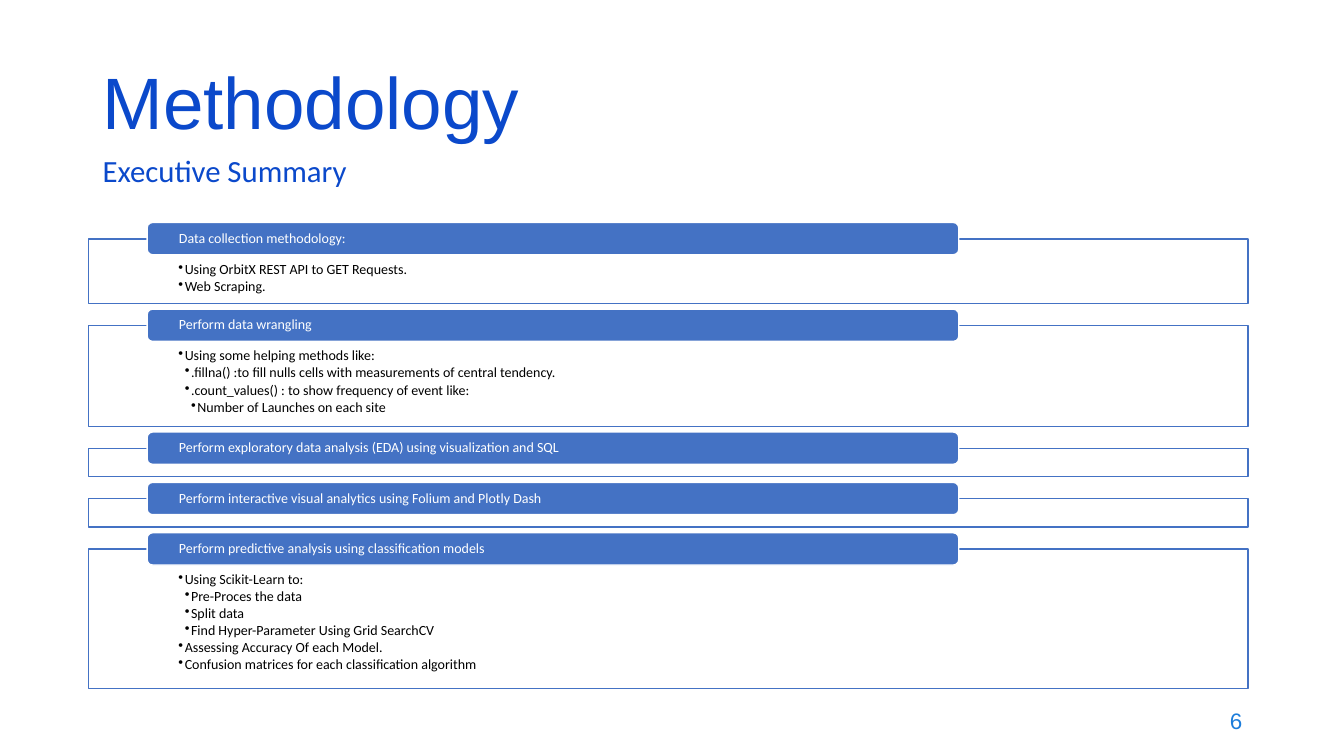
from lxml.etree import SubElement
from pptx import Presentation
from pptx.dml.color import RGBColor
from pptx.enum.shapes import MSO_SHAPE
from pptx.enum.text import MSO_ANCHOR, PP_ALIGN
from pptx.oxml.ns import qn
from pptx.util import Inches, Pt

NAVY, BLUE, SKY, WHITE, BLACK = "0B49CB", "4472C4", "1C7DDB", "FFFFFF", "000000"
FRAME_LEFT, FRAME_WIDTH = 6.6, 86.27
HEADING_LEFT, HEADING_WIDTH, HEADING_HEIGHT = 10.95, 60.39, 4.27
HEADING_RISE, FIRST_TOP, GAP = 2.17, 31.6, 2.93
INDENT = Inches(0.0625)

# Heading, frame height in percent of the slide, bullets as (level, text)
SECTIONS = [
    ("Data collection methodology:", 8.53, [
        (1, "Using OrbitX REST API to GET Requests."),
        (1, "Web Scraping."),
    ]),
    ("Perform data wrangling", 13.33, [
        (1, "Using some helping methods like:"),
        (2, ".fillna() :to fill nulls cells with measurements of central tendency."),
        (2, ".count_values() : to show frequency of event like:"),
        (3, "Number of Launches on each site"),
    ]),
    ("Perform exploratory data analysis (EDA) using visualization and SQL", 3.73, []),
    ("Perform interactive visual analytics using Folium and Plotly Dash", 3.73, []),
    ("Perform predictive analysis using classification models", 18.4, [
        (1, "Using Scikit-Learn to:"),
        (2, "Pre-Proces the data"),
        (2, "Split data"),
        (2, "Find Hyper-Parameter Using Grid SearchCV"),
        (1, "Assessing Accuracy Of each Model."),
        (1, "Confusion matrices for each classification algorithm"),
    ]),
]

deck = Presentation()
deck.slide_width, deck.slide_height = Inches(13.33), Inches(7.5)
page = deck.slides.add_slide(deck.slide_layouts[6])


def add_box(kind, left, top, width, height, fill=None, line=None):
    """Add a shape, or a text box if kind is None, placed in percent of the slide."""
    place = [int(share * side / 100) for share, side in zip(
        (left, top, width, height), (deck.slide_width, deck.slide_height) * 2)]
    if kind is None:
        box = page.shapes.add_textbox(*place)
    else:
        box = page.shapes.add_shape(kind, *place)
        box.shadow.inherit = False
        box.fill.solid()
        box.fill.fore_color.rgb = RGBColor.from_string(fill)
        box.line.color.rgb = RGBColor.from_string(line)
        box.line.width = Pt(1)
    box.text_frame.word_wrap = True
    return box


def write(para, text, size, font, color, align=PP_ALIGN.LEFT, spacing=0.9):
    para.text = text
    para.alignment = align
    para.line_spacing = spacing
    for span in para.runs:
        span.font.size = Pt(size)
        span.font.name = font
        span.font.color.rgb = RGBColor.from_string(color)


title = add_box(None, 6.9, 8.13, 86.27, 16.53)
write(title.text_frame.paragraphs[0], "Methodology", 52, "Arial", NAVY)

number = add_box(None, 70.67, 92.67, 22.5, 5.33)
number.text_frame.vertical_anchor = MSO_ANCHOR.MIDDLE
write(number.text_frame.paragraphs[0], "6", 16, "Arial", SKY, PP_ALIGN.RIGHT, 1.0)

top = FIRST_TOP
for heading, height, bullets in SECTIONS:
    frame = add_box(MSO_SHAPE.RECTANGLE, FRAME_LEFT, top, FRAME_WIDTH, height, WHITE, BLUE)
    body = frame.text_frame
    body.vertical_anchor = MSO_ANCHOR.TOP
    body.margin_left = body.margin_right = Inches(0.89)
    body.margin_top, body.margin_bottom = Inches(0.23), Inches(0.08)
    for index, (level, text) in enumerate(bullets):
        para = body.add_paragraph() if index else body.paragraphs[0]
        write(para, text, 10, "Calibri", BLACK)
        para.level = level
        para.space_after = Pt(1.4)
        properties = para._p.get_or_add_pPr()
        properties.set("marL", str(level * INDENT))
        properties.set("indent", str(-INDENT))
        SubElement(properties, qn("a:buChar")).set("char", "•")

    label = add_box(MSO_SHAPE.ROUNDED_RECTANGLE, HEADING_LEFT, top - HEADING_RISE,
                    HEADING_WIDTH, HEADING_HEIGHT, BLUE, WHITE).text_frame
    label.vertical_anchor = MSO_ANCHOR.MIDDLE
    label.margin_left = label.margin_right = Inches(0.3)
    label.margin_top = label.margin_bottom = 0
    write(label.paragraphs[0], heading, 10, "Calibri", WHITE)
    top += height + GAP

subtitle = add_box(None, 6.9, 19.47, 22.5, 6.27)
write(subtitle.text_frame.paragraphs[0], "Executive Summary", 22, "Calibri", NAVY, spacing=1.0)

deck.save("out.pptx")
